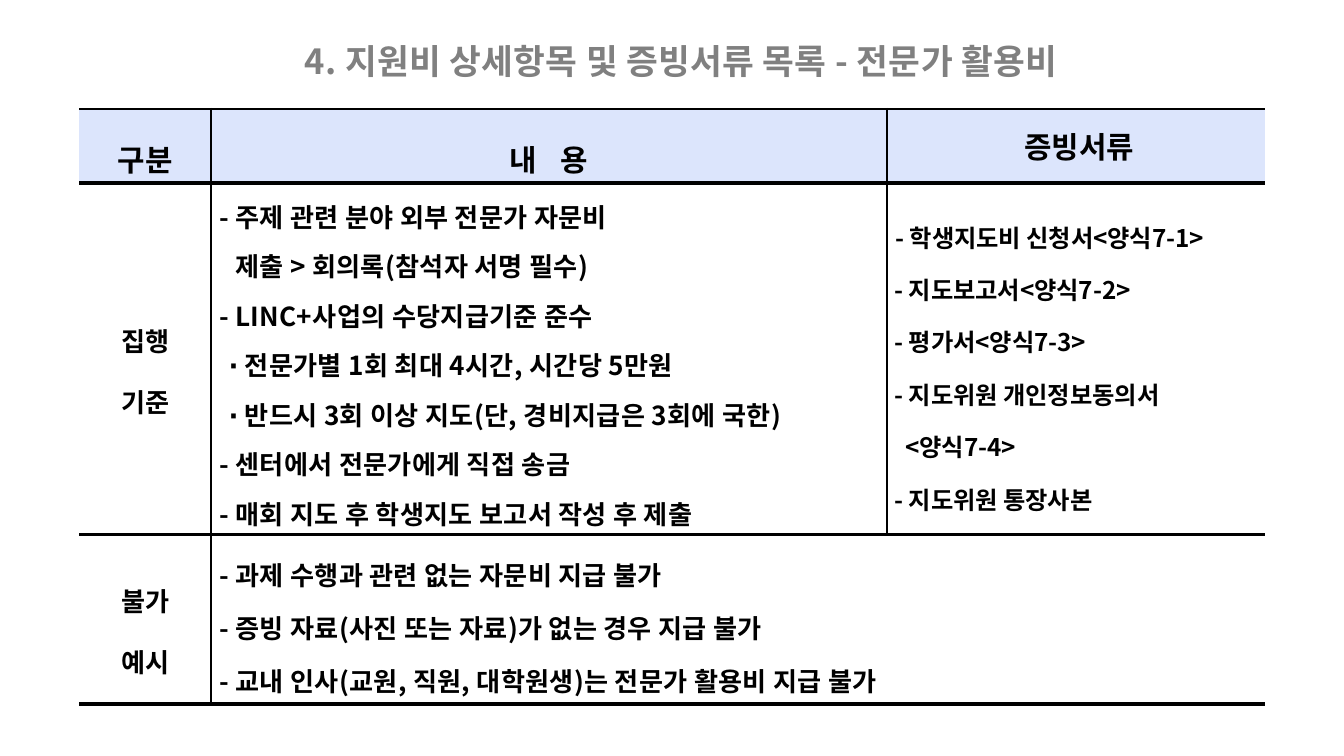
"""Build the expert consulting cost slide with its criteria table."""
from dataclasses import dataclass

from lxml import etree
from pptx import Presentation, util as u
from pptx.dml.color import RGBColor
from pptx.enum import text
from pptx.oxml import ns

FONT = "Noto Sans CJK KR"
BLACK = RGBColor(0x00, 0x00, 0x00)
GRAY = RGBColor(0x80, 0x80, 0x80)
HEADER_BLUE = RGBColor(0xDC, 0xE5, 0xFC)
COLUMN_WIDTHS = (70.6, 362.2, 202.3)
ROW_HEIGHTS = (39.6, 188.6, 90.7)
RULE_WIDTHS = (1.13, 2.55, 1.98, 1.98)
DIVIDER_WIDTH = 1.13
INSET = 1.4


@dataclass(frozen=True)
class Line:
    wording: str
    indent: float = 0


@dataclass(frozen=True)
class TableEntry:
    row: int
    column: int
    lines: tuple[Line, ...]
    size: float
    line_spacing: float
    centered: bool = False
    letter_spacing: float = 0


ENTRIES = (
    TableEntry(0, 0, (Line("구분"),), 16, 1.6, True),
    TableEntry(0, 1, (Line("내 용"),), 16, 1.6, True, 4.5),
    TableEntry(0, 2, (Line("증빙서류", 3.6),), 16, 1.0, True),
    TableEntry(1, 0, (Line("집행"), Line("기준")), 14, 1.6, True),
    TableEntry(1, 1, (
        Line("- 주제 관련 분야 외부 전문가 자문비", 3),
        Line("제출 > 회의록(참석자 서명 필수)", 11.5),
        Line("- LINC+사업의 수당지급기준 준수", 3),
        Line("∙ 전문가별 1회 최대 4시간, 시간당 5만원", 8),
        Line("∙ 반드시 3회 이상 지도(단, 경비지급은 3회에 국한)", 8),
        Line("- 센터에서 전문가에게 직접 송금", 3),
        Line("- 매회 지도 후 학생지도 보고서 작성 후 제출", 3),
    ), 14, 1.3, letter_spacing=0.15),
    TableEntry(1, 2, (
        Line("- 학생지도비 신청서<양식7-1>", 3),
        Line("- 지도보고서<양식7-2>", 2.5),
        Line("- 평가서<양식7-3>", 2.5),
        Line("- 지도위원 개인정보동의서", 2.5),
        Line("<양식7-4>", 8.3),
        Line("- 지도위원 통장사본", 2.5),
    ), 13, 1.5),
    TableEntry(2, 0, (Line("불가"), Line("예시")), 14, 1.6, True),
    TableEntry(2, 1, (
        Line("- 과제 수행과 관련 없는 자문비 지급 불가", 3),
        Line("- 증빙 자료(사진 또는 자료)가 없는 경우 지급 불가", 3),
        Line("- 교내 인사(교원, 직원, 대학원생)는 전문가 활용비 지급 불가", 3),
    ), 14, 1.4, letter_spacing=0.15),
)


def format_paragraph(paragraph, size: float, color: RGBColor, letter_spacing: float) -> None:
    """Apply the bold Korean font and letter spacing to every run."""
    for run in paragraph.runs:
        run.font.name = FONT
        run.font.size = u.Pt(size)
        run.font.bold = True
        run.font.color.rgb = color
        properties = run.font._element
        properties.set("spc", str(round(letter_spacing * 100)))
        etree.SubElement(properties, ns.qn("a:ea")).set("typeface", FONT)


def set_border(cell, side: str, width: float) -> None:
    """Draw one cell side, or hide it when the width is zero."""
    line = etree.SubElement(cell._tc.get_or_add_tcPr(), ns.qn(f"a:ln{side}"))
    line.set("w", str(int(u.Pt(width))))
    if width:
        fill = etree.SubElement(line, ns.qn("a:solidFill"))
        etree.SubElement(fill, ns.qn("a:srgbClr")).set("val", str(BLACK))
    else:
        etree.SubElement(line, ns.qn("a:noFill"))


def style_cell(cell, row: int, column: int) -> None:
    """Set the insets, borders and fill of a cell."""
    cell.margin_left = cell.margin_right = u.Pt(INSET)
    cell.margin_top = cell.margin_bottom = u.Pt(INSET)
    cell.vertical_anchor = text.MSO_ANCHOR.MIDDLE
    last_column = len(COLUMN_WIDTHS) - 1
    has_left = column > 0 and not cell.is_spanned
    has_right = column < last_column and not cell.is_merge_origin and not cell.is_spanned
    set_border(cell, "L", DIVIDER_WIDTH if has_left else 0)
    set_border(cell, "R", DIVIDER_WIDTH if has_right else 0)
    set_border(cell, "T", RULE_WIDTHS[row])
    set_border(cell, "B", RULE_WIDTHS[row + 1])
    if row == 0:
        cell.fill.solid()
        cell.fill.fore_color.rgb = HEADER_BLUE
    else:
        cell.fill.background()


def write_entry(cell, entry: TableEntry) -> None:
    """Write the lines of one table entry."""
    frame = cell.text_frame
    frame.text = "\n".join(line.wording for line in entry.lines)
    for paragraph, line in zip(frame.paragraphs, entry.lines):
        paragraph.line_spacing = entry.line_spacing
        paragraph.alignment = text.PP_ALIGN.CENTER if entry.centered else text.PP_ALIGN.LEFT
        properties = paragraph._p.get_or_add_pPr()
        properties.set("marL", str(int(u.Pt(line.indent))))
        properties.set("indent", "0")
        format_paragraph(paragraph, entry.size, BLACK, entry.letter_spacing)


def add_title(slide) -> None:
    """Add the gray slide title."""
    title = slide.shapes.add_textbox(u.Pt(158.2), u.Pt(20.2), u.Pt(499), u.Pt(26))
    frame = title.text_frame
    frame.word_wrap = True
    frame.margin_left = frame.margin_right = u.Pt(5)
    frame.margin_top = frame.margin_bottom = u.Pt(1)
    frame.text = "4. 지원비 상세항목 및 증빙서류 목록 - 전문가 활용비"
    format_paragraph(frame.paragraphs[0], 18.5, GRAY, 0.2)


def add_criteria_table(slide) -> None:
    """Add the table of spending criteria and required documents."""
    table = slide.shapes.add_table(
        len(ROW_HEIGHTS), len(COLUMN_WIDTHS), u.Pt(42.5), u.Pt(58.3),
        u.Pt(sum(COLUMN_WIDTHS)), u.Pt(sum(ROW_HEIGHTS)),
    ).table
    table.horz_banding = False
    table.first_row = False
    for column, width in zip(table.columns, COLUMN_WIDTHS):
        column.width = u.Pt(width)
    for row, height in zip(table.rows, ROW_HEIGHTS):
        row.height = u.Pt(height)
    table.cell(2, 1).merge(table.cell(2, 2))
    for row in range(len(ROW_HEIGHTS)):
        for column in range(len(COLUMN_WIDTHS)):
            style_cell(table.cell(row, column), row, column)
    for entry in ENTRIES:
        write_entry(table.cell(entry.row, entry.column), entry)


def main() -> None:
    """Create and save the presentation."""
    presentation = Presentation()
    presentation.slide_width = u.Pt(720)
    presentation.slide_height = u.Pt(405)
    slide = presentation.slides.add_slide(presentation.slide_layouts[6])
    add_title(slide)
    add_criteria_table(slide)
    presentation.save("out.pptx")


if __name__ == "__main__":
    main()
